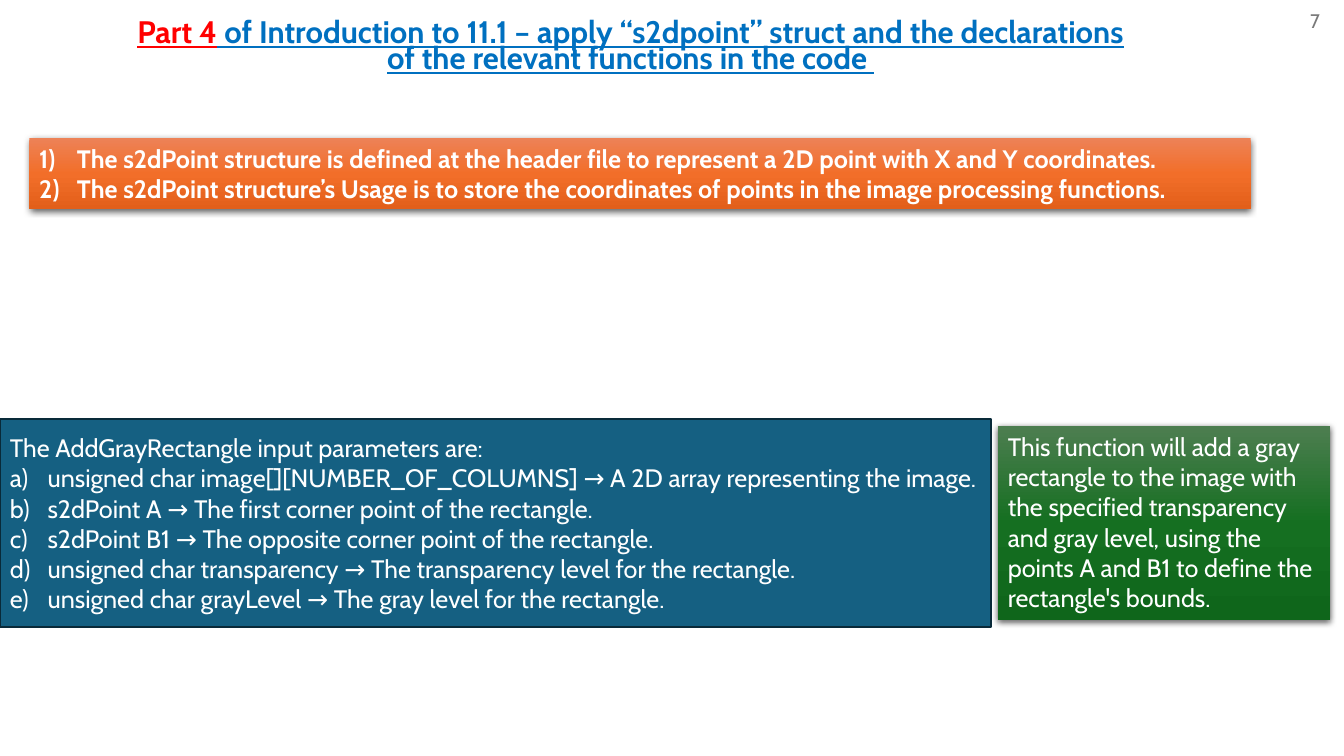
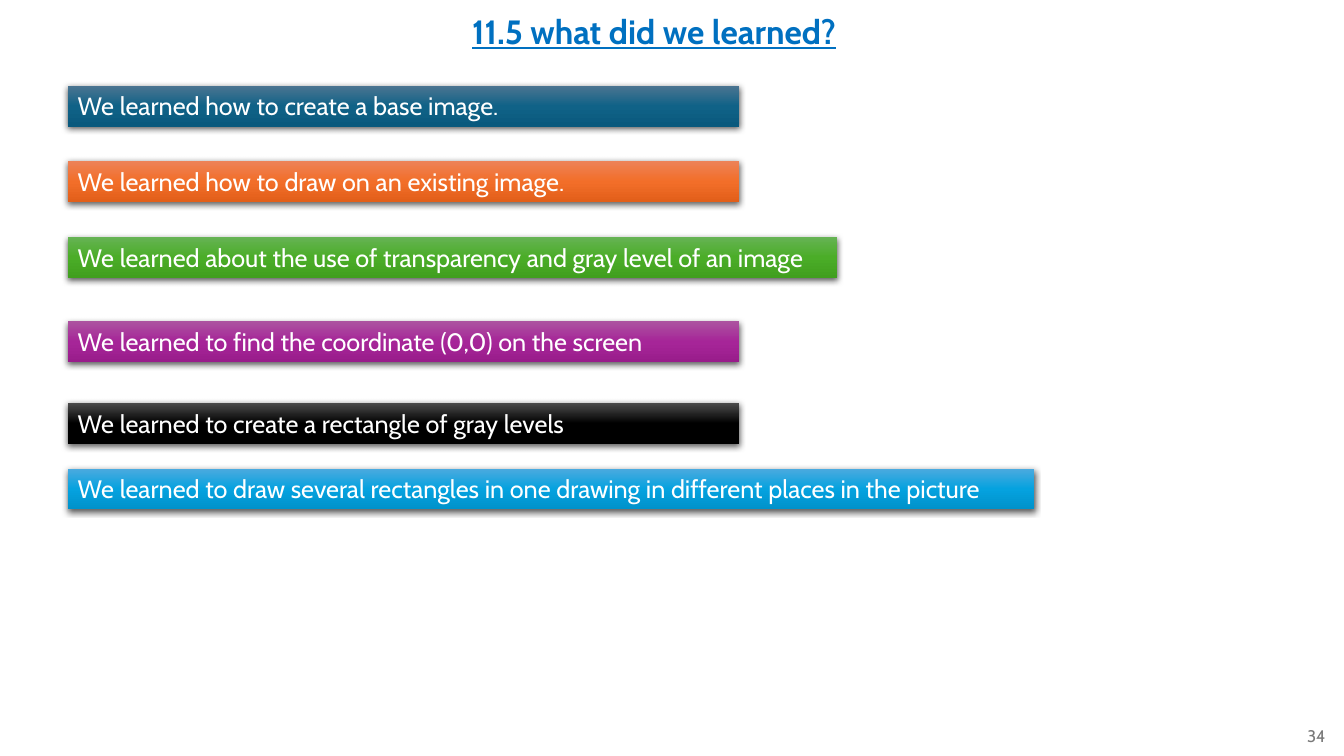
import pptx
import pptx.util
import pptx.dml.color
import pptx.enum.shapes
import pptx.enum.text
import pptx.oxml
import pptx.oxml.ns
from lxml import etree
from pptx.util import Cm

COLOURS = {
    "title": "0070C0",
    "highlight": "FF0000",
    "number": "797979",
    "text": "FFFFFF",
    "panel": "156082",
    "panel_line": "092A39",
    "shadow": "000000",
}
# Top, middle and bottom colour of each glossy band
GRADIENTS = {
    "blue": ("4C7591", "106287", "09597D"),
    "orange": ("ED8257", "F26E29", "E25F1A"),
    "green": ("66B354", "4BAD28", "409F1E"),
    "purple": ("AC53A0", "A62598", "991C8B"),
    "black": ("4B4B4B", "000000", "000000"),
    "sky": ("4CAADF", "05A2DF", "0092CB"),
    "forest": ("4D7E50", "156F21", "0F661B"),
}


def rgb(name):
    return pptx.dml.color.RGBColor.from_string(COLOURS[name])


def add_child(parent, tag, **attributes):
    child = etree.SubElement(parent, pptx.oxml.ns.qn(tag))
    for key, value in attributes.items():
        child.set(key, str(value))
    return child


class SlideBuilder:
    """Holds the deck, its style and the slide being filled."""

    font = "Cabin"
    body_size = 18
    indent = Cm(0.95)

    def __init__(self):
        self.deck = pptx.Presentation()
        self.deck.slide_width = Cm(33.87)
        self.deck.slide_height = Cm(19.05)
        self.page = None

    def new_page(self):
        self.page = self.deck.slides.add_slide(self.deck.slide_layouts[6])

    def style(self, paragraph, size, colour=None, bold=False, underline=False):
        font = paragraph.font
        font.name = self.font
        font.size = pptx.util.Pt(size)
        font.bold = bold
        font.underline = underline
        if colour:
            font.color.rgb = rgb(colour)

    def text_box(self, left, top, width, height):
        """Add an empty, wrapping, vertically centred box; return its first paragraph."""
        frame = self.page.shapes.add_textbox(Cm(left), Cm(top), Cm(width), Cm(height)).text_frame
        frame.word_wrap = True
        frame.vertical_anchor = pptx.enum.text.MSO_ANCHOR.MIDDLE
        return frame.paragraphs[0]

    def title(self, left, top, width, spans, size, spacing):
        """Add a centred title from (text, colour) spans."""
        para = self.text_box(left, top, width, 1.7)
        para.alignment = pptx.enum.text.PP_ALIGN.CENTER
        para.line_spacing = spacing
        self.style(para, size, bold=True, underline=True)
        for text, colour in spans:
            span = para.add_run()
            span.text = text
            span.font.color.rgb = rgb(colour)

    def page_number(self, left, top, number, size):
        para = self.text_box(left, top, 1.15, 1.02)
        para.text = number
        self.style(para, size, "number")

    def rectangle(self, left, top, width, height):
        box = self.page.shapes.add_shape(
            pptx.enum.shapes.MSO_SHAPE.RECTANGLE, Cm(left), Cm(top), Cm(width), Cm(height))
        box.shadow.inherit = False
        return box

    def add_lines(self, box, lines, numbering=None, plain_lines=0, bold=False):
        """Fill a box with lines, numbering those after the first plain_lines."""
        frame = box.text_frame
        frame.word_wrap = True
        for index, line in enumerate(lines):
            para = frame.add_paragraph() if index else frame.paragraphs[0]
            para.text = line
            para.alignment = pptx.enum.text.PP_ALIGN.LEFT
            if numbering and index >= plain_lines:
                properties = para._p.get_or_add_pPr()
                properties.set("marL", str(self.indent))
                properties.set("indent", str(-self.indent))
                add_child(properties, "a:buAutoNum", type=numbering)
            self.style(para, self.body_size, "text", bold)

    def panel(self, left, top, width, height, lines, **options):
        """Add a flat, outlined rectangle with text centred in its height."""
        box = self.rectangle(left, top, width, height)
        box.fill.solid()
        box.fill.fore_color.rgb = rgb("panel")
        box.line.color.rgb = rgb("panel_line")
        box.line.width = pptx.util.Pt(1.5)
        box.text_frame.vertical_anchor = pptx.enum.text.MSO_ANCHOR.MIDDLE
        self.add_lines(box, lines, **options)

    def band(self, left, top, width, height, gradient, lines, **options):
        """Add a glossy rectangle with a soft shadow below."""
        box = self.rectangle(left, top, width, height)
        box.line.fill.background()
        box.fill.gradient()
        box.fill.gradient_angle = 270
        properties = box._element.spPr
        stops = properties.find(".//" + pptx.oxml.ns.qn("a:gsLst"))
        for stop in list(stops):
            stops.remove(stop)
        for position, colour in zip((0, 50000, 100000), GRADIENTS[gradient]):
            add_child(add_child(stops, "a:gs", pos=position), "a:srgbClr", val=colour)
        effects = properties.find(pptx.oxml.ns.qn("a:effectLst"))
        shadow = add_child(effects, "a:outerShdw", blurRad=pptx.util.Pt(4.5),
                           dist=pptx.util.Pt(1.5), dir=5400000, algn="ctr", rotWithShape=0)
        add_child(add_child(shadow, "a:srgbClr", val=COLOURS["shadow"]), "a:alpha", val=63000)
        frame = box.text_frame
        frame.vertical_anchor = pptx.enum.text.MSO_ANCHOR.TOP
        frame.auto_size = pptx.enum.text.MSO_AUTO_SIZE.SHAPE_TO_FIT_TEXT
        self.add_lines(box, lines, **options)


def build_struct_page(builder):
    builder.new_page()
    builder.page_number(32.77, 0, "7", 14)
    builder.title(2.84, 0.38, 26.11, [
        ("Part 4", "highlight"),
        (" of Introduction to 11.1 – apply “s2dpoint” struct and the declarations "
         "of the relevant functions in the code ", "title"),
    ], size=22.2, spacing=0.7)
    builder.band(0.74, 3.48, 30.78, 1.8, "orange", [
        "The s2dPoint structure is defined at the header file to represent a 2D point "
        "with X and Y coordinates.",
        "The s2dPoint structure’s Usage is to store the coordinates of points in the "
        "image processing functions.",
    ], numbering="arabicParenR", bold=True)
    builder.panel(0, 10.57, 24.97, 5.23, [
        "The AddGrayRectangle input parameters are:",
        "unsigned char image[][NUMBER_OF_COLUMNS] → A 2D array representing the image.",
        "s2dPoint A → The first corner point of the rectangle.",
        "s2dPoint B1 → The opposite corner point of the rectangle.",
        "unsigned char transparency → The transparency level for the rectangle.",
        "unsigned char grayLevel → The gray level for the rectangle.",
    ], numbering="alphaLcParenR", plain_lines=1)
    builder.band(25.15, 10.74, 8.38, 4.88, "forest", [
        "This function will add a gray rectangle to the image with the specified "
        "transparency and gray level, using the points A and B1 to define the "
        "rectangle's bounds.",
    ])


def build_summary_page(builder):
    builder.new_page()
    builder.page_number(32.69, 18.03, "34", 12)
    builder.title(3.71, 0, 25.55, [("11.5 what did we learned?", "title")], size=24, spacing=0.9)
    lessons = [
        (2.16, 16.92, "blue", "We learned how to create a base image."),
        (4.06, 16.92, "orange", "We learned how to draw on an existing image."),
        (5.97, 19.38, "green",
         "We learned about the use of transparency and gray level of an image"),
        (8.1, 16.92, "purple", "We learned to find the coordinate (0,0) on the screen"),
        (10.16, 16.92, "black", "We learned to create a rectangle of gray levels"),
        (11.81, 24.36, "sky",
         "We learned to draw several rectangles in one drawing in different places in the picture"),
    ]
    for top, width, gradient, lesson in lessons:
        builder.band(1.71, top, width, 1.03, gradient, [lesson])


def main():
    builder = SlideBuilder()
    build_struct_page(builder)
    build_summary_page(builder)
    builder.deck.save("out.pptx")


if __name__ == "__main__":
    main()
